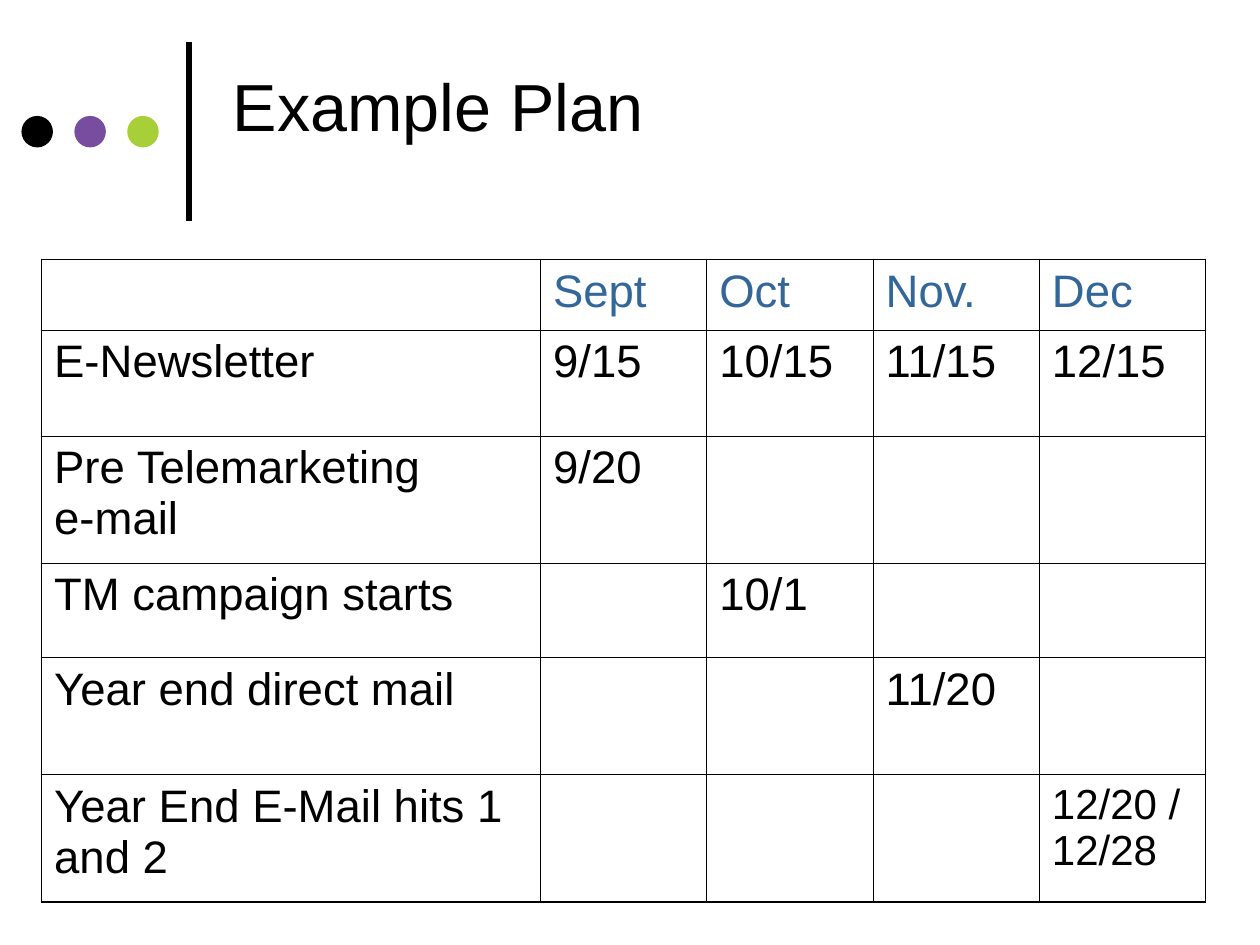
"""Build the Example Plan slide: a title with dots and a campaign calendar table."""
from lxml import etree
from pptx import Presentation
from pptx.dml.color import RGBColor
from pptx.enum.shapes import MSO_CONNECTOR, MSO_SHAPE
from pptx.enum.text import MSO_ANCHOR
from pptx.oxml.ns import qn
from pptx.util import Inches, Pt

LINE, OVAL, MIDDLE = MSO_CONNECTOR.STRAIGHT, MSO_SHAPE.OVAL, MSO_ANCHOR.MIDDLE
FONT = "Arial"
COLORS = {"black": "000000", "purple": "784C9F", "green": "A7CF38",
          "blue": "336699", "white": "FFFFFF"}

TITLE = "Example Plan"
DOTS = ["black", "purple", "green"]
PLAN = [
    ["", "Sept", "Oct", "Nov.", "Dec"],
    ["E-Newsletter", "9/15", "10/15", "11/15", "12/15"],
    ["Pre Telemarketing \ve-mail", "9/20", "", "", ""],
    ["TM campaign starts", "", "10/1", "", ""],
    ["Year end direct mail", "", "", "11/20", ""],
    ["Year End E-Mail hits 1 and 2", "", "", "", "12/20 / 12/28"],
]
COL_WIDTHS = [3.96] + [1.32] * 4
ROW_HEIGHTS = [0.56, 0.84, 1.01, 0.75, 0.93, 1.01]
OUTER, INNER = 1.08, 0.45


def rgb(name):
    return RGBColor.from_string(COLORS[name])


def style(p, size, color):
    for r in p.runs:
        r.font.name, r.font.size = FONT, Pt(size)
        r.font.color.rgb = rgb(color)


def set_borders(cell, outer_sides):
    tc_pr = cell._tc.get_or_add_tcPr()
    for i, side in enumerate("LRTB"):
        width = OUTER if side in outer_sides else INNER
        ln = etree.Element(qn(f"a:ln{side}"), w=str(Pt(width)))
        fill = etree.SubElement(ln, qn("a:solidFill"))
        etree.SubElement(fill, qn("a:srgbClr"), val=COLORS["black"])
        tc_pr.insert(i, ln)


def add_header(s):
    bar = s.shapes.add_connector(LINE, Inches(1.5), Inches(1.75), Inches(1.5), Inches(0.33))
    bar.line.color.rgb, bar.line.width = rgb("black"), Pt(3)
    etree.SubElement(bar._element.spPr, qn("a:effectLst"))
    for i, color in enumerate(DOTS):
        dot = s.shapes.add_shape(OVAL, Inches(0.17 + 0.42 * i), Inches(0.92),
                                 Inches(0.25), Inches(0.25))
        dot.shadow.inherit = False
        dot.fill.solid()
        dot.fill.fore_color.rgb = rgb(color)
        dot.line.fill.background()
    tf = s.shapes.add_textbox(Inches(1.75), Inches(0.33), Inches(7.33), Inches(1)).text_frame
    tf.word_wrap, tf.vertical_anchor = True, MIDDLE
    tf.text = TITLE
    style(tf.paragraphs[0], 38, "black")


def add_plan(s):
    last_row, last_col = len(PLAN) - 1, len(PLAN[0]) - 1
    table = s.shapes.add_table(len(PLAN), len(PLAN[0]), Inches(0.33), Inches(2.06),
                               Inches(sum(COL_WIDTHS)), Inches(sum(ROW_HEIGHTS))).table
    table.horz_banding = False
    table.first_row = False
    for column, width in zip(table.columns, COL_WIDTHS):
        column.width = Inches(width)
    for row, height in zip(table.rows, ROW_HEIGHTS):
        row.height = Inches(height)
    for i, row in enumerate(PLAN):
        for j, text in enumerate(row):
            cell = table.cell(i, j)
            cell.text_frame.text = text
            size = 24 if (i, j) == (last_row, last_col) else 26
            style(cell.text_frame.paragraphs[0], size, "black" if i else "blue")
            cell.fill.solid()
            cell.fill.fore_color.rgb = rgb("white")
            edges = {"L": j == 0, "R": j == last_col, "T": i == 0, "B": i == last_row}
            set_borders(cell, [side for side, is_outer in edges.items() if is_outer])


def main():
    prs = Presentation()
    prs.slide_width, prs.slide_height = Inches(10), Inches(7.5)
    s = prs.slides.add_slide(prs.slide_layouts[6])
    add_header(s)
    add_plan(s)
    prs.save("out.pptx")


if __name__ == "__main__":
    main()
